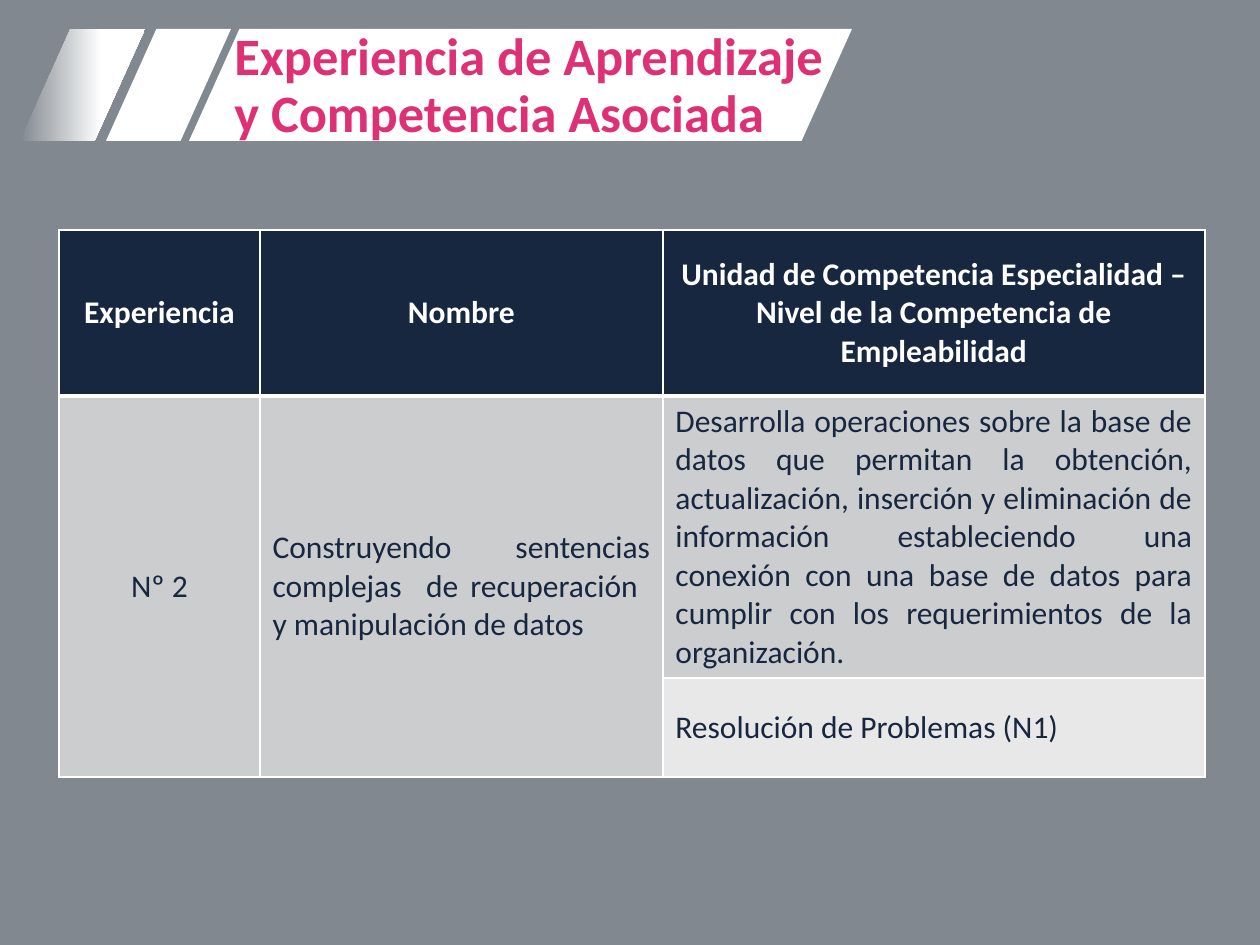
from lxml.etree import SubElement
from pptx import Presentation
from pptx.dml.color import RGBColor
from pptx.enum.shapes import MSO_SHAPE
from pptx.enum.text import MSO_ANCHOR, PP_ALIGN
from pptx.oxml.ns import qn
from pptx.util import Pt

PX = 914400 // 126
NAVY, WHITE, GRAY, PINK = "172740", "FFFFFF", "81888F", "DE3075"
BAND, LIGHT_BAND = "CCCDCF", "E8E8E8"

TITLE = "Experiencia de Aprendizaje\ny Competencia Asociada"
HEADERS = [
    "Experiencia",
    "Nombre",
    "Unidad de Competencia Especialidad – Nivel de la Competencia de Empleabilidad",
]
EXPERIENCE = [
    "Nº 2",
    "Construyendo sentencias complejas  de recuperación  y manipulación de datos",
    "Desarrolla operaciones sobre la base de datos que permitan la obtención, "
    "actualización, inserción y eliminación de información estableciendo una "
    "conexión con una base de datos para cumplir con los requerimientos de la "
    "organización.",
]
EMPLOYABILITY = ["", "", "Resolución de Problemas (N1)"]
ROWS = [
    (HEADERS, 166, NAVY, WHITE),
    (EXPERIENCE, 282, BAND, NAVY),
    (EMPLOYABILITY, 99, LIGHT_BAND, NAVY),
]
COLUMN_WIDTHS = [201, 403, 542]
TABLE_LEFT, TABLE_TOP = 59, 230
BANNER_TOP, BANNER_HEIGHT = 29, 112
STRIPES = [(106, 125), (20, 125), (189, 663)]
FADING_STRIPE = 1


def px(*lengths):
    return [length * PX for length in lengths]


def color(value):
    return RGBColor.from_string(value)


def paint(fill, value):
    fill.solid()
    fill.fore_color.rgb = color(value)


def style(paragraph, size, value, bold):
    font = paragraph.font
    font.name, font.size, font.bold = "Calibri", Pt(size), bold
    font.color.rgb = color(value)


def add_banner(slide):
    for index, (left, width) in enumerate(STRIPES):
        stripe = slide.shapes.add_shape(
            MSO_SHAPE.PARALLELOGRAM, *px(left, BANNER_TOP, width, BANNER_HEIGHT))
        stripe.adjustments[0] = 0.45
        stripe.shadow.inherit = False
        stripe.line.fill.background()
        if index == FADING_STRIPE:
            stripe.fill.gradient()
            stripe.fill.gradient_angle = 0
            stops = zip(stripe.fill.gradient_stops, [(0, GRAY), (0.65, WHITE)])
            for stop, (position, value) in stops:
                stop.position, stop.color.rgb = position, color(value)
        else:
            paint(stripe.fill, WHITE)


def add_title(slide):
    frame = slide.shapes.add_textbox(*px(222, 31, 632, BANNER_HEIGHT)).text_frame
    frame.word_wrap = True
    frame.vertical_anchor = MSO_ANCHOR.MIDDLE
    paragraph = frame.paragraphs[0]
    paragraph.text = TITLE
    paragraph.line_spacing = 0.9
    style(paragraph, 30, PINK, True)


def add_borders(cell, bottom):
    properties = cell._tc.get_or_add_tcPr()
    for side, width in (("L", 1), ("R", 1), ("T", 1), ("B", bottom)):
        border = SubElement(properties, qn(f"a:ln{side}"), w=str(Pt(width)))
        SubElement(SubElement(border, qn("a:solidFill")), qn("a:srgbClr"), val=WHITE)


def add_competence_table(slide):
    heights = [height for _, height, _, _ in ROWS]
    table = slide.shapes.add_table(
        len(ROWS), len(COLUMN_WIDTHS),
        *px(TABLE_LEFT, TABLE_TOP, sum(COLUMN_WIDTHS), sum(heights))).table
    for column, width in zip(table.columns, px(*COLUMN_WIDTHS)):
        column.width = width
    for row, height in zip(table.rows, px(*heights)):
        row.height = height
    for r, (texts, _, fill, ink) in enumerate(ROWS):
        header = r == 0
        for c, text in enumerate(texts):
            cell = table.cell(r, c)
            add_borders(cell, 3 if header else 1)
            paint(cell.fill, fill)
            cell.vertical_anchor = MSO_ANCHOR.MIDDLE
            paragraph = cell.text_frame.paragraphs[0]
            paragraph.text = text
            centered = header or c == 0
            paragraph.alignment = PP_ALIGN.CENTER if centered else PP_ALIGN.JUSTIFY
            style(paragraph, 18, ink, header)
    for c in (0, 1):
        table.cell(1, c).merge(table.cell(2, c))


def main():
    """Build the learning experience and competence slide."""
    deck = Presentation()
    deck.slide_width, deck.slide_height = px(1260, 945)
    slide = deck.slides.add_slide(deck.slide_layouts[6])
    paint(slide.background.fill, GRAY)
    add_banner(slide)
    add_competence_table(slide)
    add_title(slide)
    deck.save("out.pptx")


if __name__ == "__main__":
    main()
